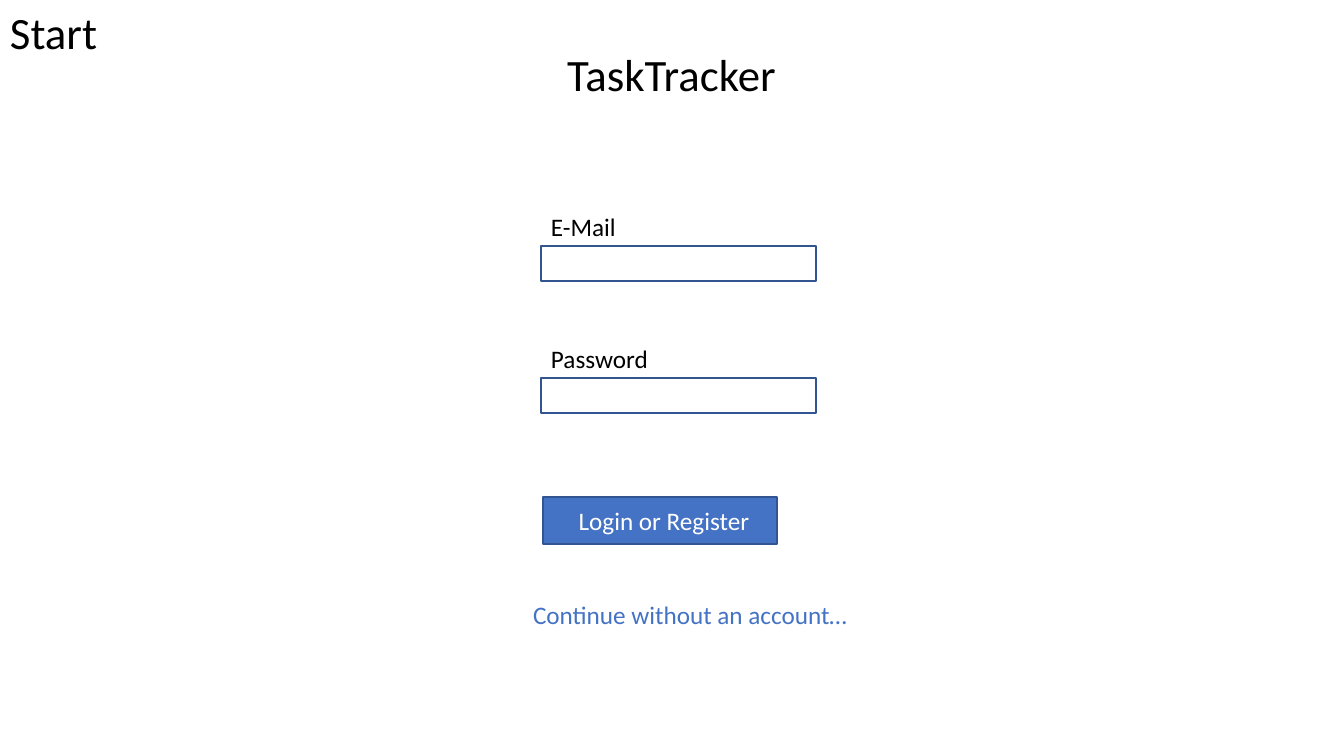
from pptx import Presentation
from pptx.dml.color import RGBColor
from pptx.enum.shapes import MSO_SHAPE as Shape
from pptx.enum.text import MSO_ANCHOR as Anchor, MSO_AUTO_SIZE as AutoSize, PP_ALIGN as Align

COLORS = {"text": "000000", "accent": "4472C4", "outline": "325491", "white": "FFFFFF"}
FONT = "Calibri"
EMU_PER_PX = 914400 / 100.8
TITLE_ONLY = 5


def px(length):
    return round(length * EMU_PER_PX)


def color(name):
    return RGBColor.from_string(COLORS[name])


def place(shape, box):
    shape.left, shape.top, shape.width, shape.height = map(px, box)


def write(shape, text, size=18, ink="text", align=Align.LEFT, anchor=Anchor.TOP,
          wrap=True, left_inset=10):
    frame = shape.text_frame
    frame.auto_size = AutoSize.NONE
    frame.word_wrap = wrap
    frame.vertical_anchor = anchor
    frame.margin_left, frame.margin_right = px(left_inset), px(10)
    frame.margin_top = frame.margin_bottom = px(5)
    paragraph = frame.paragraphs[0]
    paragraph.alignment = align
    paragraph.line_spacing = 1.0
    run = paragraph.add_run()
    run.text = text
    run.font.name, run.font.size = FONT, size * 12700
    run.font.color.rgb = color(ink)


def add_text(slide, box, text, **text_format):
    write(slide.shapes.add_textbox(*map(px, box)), text, **text_format)


def add_box(slide, box, fill=None):
    shape = slide.shapes.add_shape(Shape.RECTANGLE, *map(px, box))
    shape.shadow.inherit = False
    if fill:
        shape.fill.solid()
        shape.fill.fore_color.rgb = color(fill)
    else:
        shape.fill.background()
    shape.line.color.rgb = color("outline")
    shape.line.width = 12700
    return shape


# Screen name in the corner and app name as the title
def add_header(slide, left, top, width):
    add_text(slide, (left, top, 140, 64), "Start", size=32)
    title = slide.shapes.title
    place(title, (left + (width - 271) // 2, top + 42, 271, 64))
    write(title, "TaskTracker", size=32, align=Align.CENTER)


# Labelled input fields, stacked at an equal pitch
def add_fields(slide, left, top, width, pitch=132):
    for index, (label, label_width) in enumerate((("E-Mail", 86), ("Password", 118))):
        field_top = top + index * pitch
        add_text(slide, (left, field_top, label_width, 40), label, wrap=False)
        add_box(slide, (left, field_top + 40, width, 35))


# Login button and the way in without an account
def add_actions(slide, left, top):
    button = add_box(slide, (left, top, 234, 47), fill="accent")
    write(button, "Login or Register", ink="white", align=Align.CENTER,
          anchor=Anchor.MIDDLE, left_inset=18)
    add_text(slide, (left - 20, top + 97, 355, 40), "Continue without an account…", ink="accent")


def main():
    presentation = Presentation()
    presentation.slide_width, presentation.slide_height = px(1344), px(756)
    slide = presentation.slides.add_slide(presentation.slide_layouts[TITLE_ONLY])
    add_header(slide, 0, 0, 1344)
    add_fields(slide, 541, 206, 275)
    add_actions(slide, 543, 497)
    presentation.save("out.pptx")


if __name__ == "__main__":
    main()
